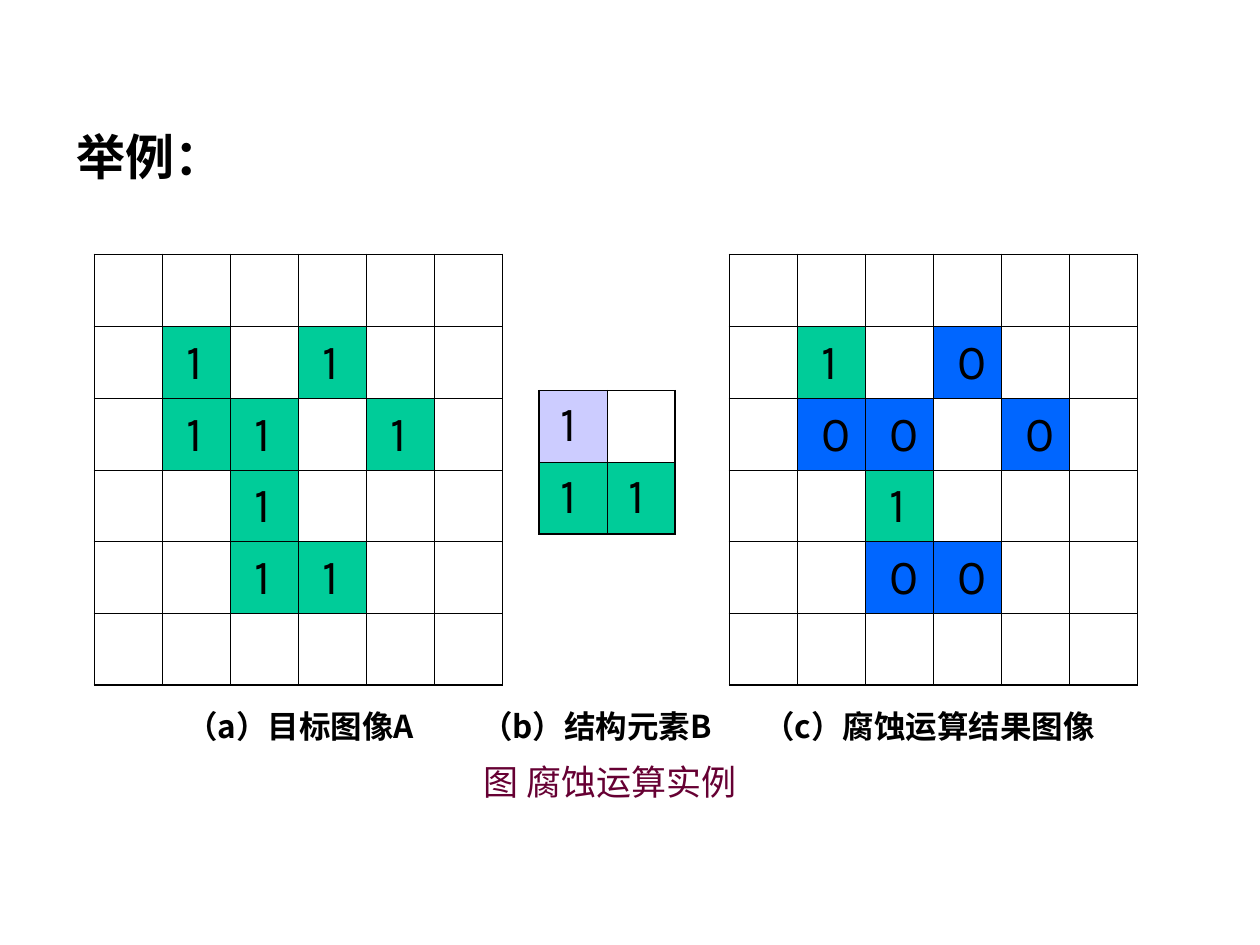
from lxml.etree import SubElement
from pptx import Presentation
from pptx.dml.color import RGBColor
from pptx.enum.text import MSO_ANCHOR
from pptx.oxml.ns import qn
from pptx.util import Inches, Pt

BLACK = RGBColor(0x00, 0x00, 0x00)
GREEN = RGBColor(0x00, 0xCC, 0x99)
BLUE = RGBColor(0x00, 0x66, 0xFF)
LILAC = RGBColor(0xCC, 0xCC, 0xFF)
PLUM = RGBColor(0x66, 0x00, 0x33)
DIGIT_FONT, TEXT_FONT = "Karla", "Noto Sans CJK SC"

# Content: "." is an empty pixel, "o" the origin of the structuring element
TARGET = ["......",
          ".1.1..",
          ".11.1.",
          "..1...",
          "..11..",
          "......"]
ELEMENT = ["o.",
           "11"]
ERODED = ["......",
          ".1.0..",
          ".00.0.",
          "..1...",
          "..00..",
          "......"]
PIXELS = {"1": ("1", GREEN), "0": ("0", BLUE), "o": ("1", LILAC)}

# left, top, pixels, anchor, left margin of the digits
GRIDS = [
    (0.75, 2.02, TARGET, MSO_ANCHOR.BOTTOM, 0.19),
    (4.28, 3.1, ELEMENT, MSO_ANCHOR.TOP, 0.17),
    (5.79, 2.02, ERODED, MSO_ANCHOR.BOTTOM, 0.19),
]
CELL_W, CELL_H = 0.54, 0.57
INNER, OUTER = 0.45, 1.08

# left, top, width, height, text, size, bold, colour, line spacing, tab stops
TEXTS = [
    (1.38, 5.56, 7.56, 0.4, "（a）目标图像A\t（b）结构元素B\t（c）腐蚀运算结果图像",
     18, True, BLACK, 1, (2.34, 4.58)),
    (3.74, 5.99, 4.17, 0.44, "图 腐蚀运算实例", 20, False, PLUM, 1, ()),
    (0.51, 0.84, 9.21, 0.69, "举例：", 28, True, BLACK, 1.25, ()),
]


def set_font(p, name, size, color, bold=False):
    f = p.font
    f.name, f.size, f.bold = name, Pt(size), bold
    f.color.rgb = color
    SubElement(p._p.pPr.find(qn("a:defRPr")), qn("a:ea"), typeface=name)


def set_borders(cell, widths):
    tcPr = cell._tc.get_or_add_tcPr()
    for side, width in zip("LRTB", widths):
        ln = SubElement(tcPr, qn("a:ln" + side), w=str(Pt(width)))
        fill = SubElement(ln, qn("a:solidFill"))
        SubElement(fill, qn("a:srgbClr"), val=str(BLACK))


def add_grid(s, left, top, pixels, anchor, margin):
    rows, cols = len(pixels), len(pixels[0])
    table = s.shapes.add_table(rows, cols, Inches(left), Inches(top),
                               Inches(cols * CELL_W), Inches(rows * CELL_H)).table
    table.first_row = table.horz_banding = False
    for i, line in enumerate(pixels):
        for j, pixel in enumerate(line):
            cell = table.cell(i, j)
            edges = (j == 0, j == cols - 1, i == 0, i == rows - 1)
            set_borders(cell, [OUTER if edge else INNER for edge in edges])
            if pixel not in PIXELS:
                cell.fill.background()
                continue
            digit, color = PIXELS[pixel]
            cell.fill.solid()
            cell.fill.fore_color.rgb = color
            cell.vertical_anchor = anchor
            cell.margin_left, cell.margin_right = Inches(margin), Inches(0.08)
            cell.text = digit
            set_font(cell.text_frame.paragraphs[0], DIGIT_FONT, 28, BLACK)


def add_text(s, left, top, width, height, text, size, bold, color, spacing, tabs):
    box = s.shapes.add_textbox(Inches(left), Inches(top), Inches(width), Inches(height))
    tf = box.text_frame
    tf.word_wrap = True
    p = tf.paragraphs[0]
    p.text = text
    p.line_spacing = spacing
    if tabs:
        tab_list = SubElement(p._p.get_or_add_pPr(), qn("a:tabLst"))
        for tab in tabs:
            SubElement(tab_list, qn("a:tab"), pos=str(Inches(tab)), algn="l")
    set_font(p, TEXT_FONT, size, color, bold)


prs = Presentation()
prs.slide_width, prs.slide_height = Inches(10), Inches(7.5)
s = prs.slides.add_slide(prs.slide_layouts[6])

# Pixel grids
for grid in GRIDS:
    add_grid(s, *grid)

# Captions and heading
for text in TEXTS:
    add_text(s, *text)

prs.save("out.pptx")
